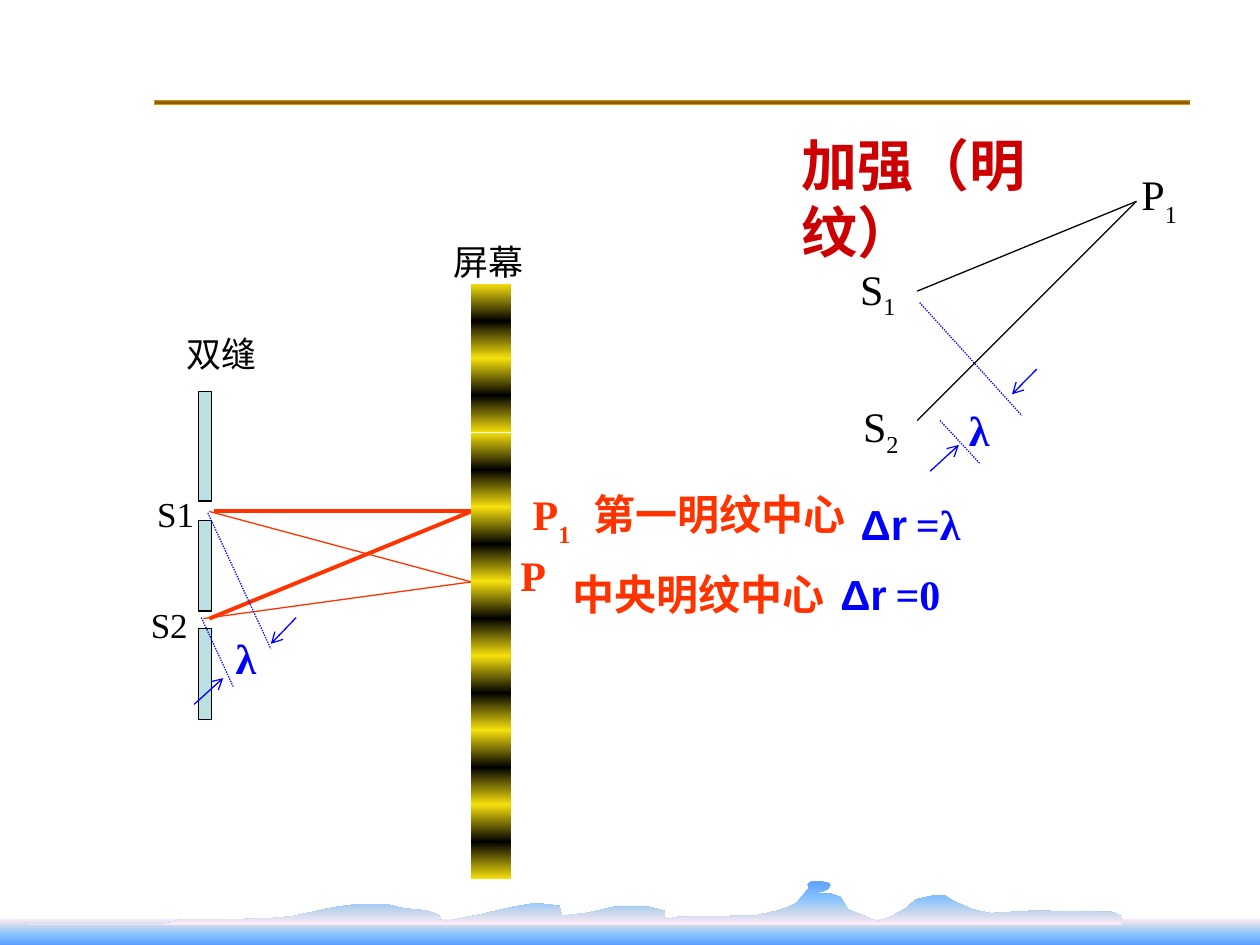
from lxml.etree import SubElement
from pptx import Presentation
from pptx.dml.color import RGBColor
from pptx.enum.dml import MSO_LINE as Dash
from pptx.enum.shapes import MSO_CONNECTOR as Link, MSO_SHAPE as Shape
from pptx.enum.text import MSO_AUTO_SIZE as Fit
from pptx.oxml.ns import qn
from pptx.util import Cm, Pt

SERIF = {"name": "Times New Roman", "size": Pt(24), "bold": False}
SMALL = {**SERIF, "size": Pt(20)}
BOLD = {**SERIF, "bold": True}
SANS = {**BOLD, "name": "Arial"}
SPACE = {"name": "Arial", "size": Pt(18), "bold": False}
HEADING = {**BOLD, "size": Pt(32)}
BLACK, RED, BLUE, ORANGE = "000000", "CC0000", "0000FF", "FF3300"
SKY = ["FFEBFA", "C4D6EB", "85C2FF", "5E9EFF"]
HILLS = [
    (23, 35), (130, 35), (143, 31), (178, 31), (214, 30), (226, 29), (234, 28),
    (243, 26), (248, 25), (261, 22), (274, 20), (283, 19), (307, 19), (320, 22),
    (339, 24), (348, 27), (351, 33), (381, 27), (394, 24), (407, 21), (425, 18),
    (444, 20), (446, 28), (465, 26), (487, 21), (515, 21), (527, 24), (528, 31),
    (537, 29), (589, 28), (599, 28), (617, 24), (626, 21), (632, 18), (642, 6),
    (641, 3), (643, 1), (650, 0), (658, 2), (659, 4), (657, 7), (652, 9),
    (641, 10), (658, 10), (667, 13), (673, 23), (688, 29), (695, 33), (707, 29),
    (719, 22), (727, 15), (736, 13), (741, 12), (750, 12), (756, 16), (772, 23),
    (786, 26), (820, 24), (883, 25), (889, 28), (891, 35),
]


def hex_color(value):
    """Return the colour for a hex string."""
    return RGBColor.from_string(value)


def add_gradient(shape, stops, radial=False):
    """Give a borderless shape a downward or centred gradient of (percent, hex) stops."""
    shape.shadow.inherit = False
    shape.line.fill.background()
    properties = shape._element.spPr
    gradient = properties.makeelement(qn("a:gradFill"), {"rotWithShape": "1"})
    stop_list = SubElement(gradient, qn("a:gsLst"))
    for percent, color in stops:
        stop = SubElement(stop_list, qn("a:gs"), pos=str(percent * 1000))
        SubElement(stop, qn("a:srgbClr"), val=color)
    if radial:
        center = SubElement(gradient, qn("a:path"), path="shape")
        SubElement(center, qn("a:fillToRect"), dict.fromkeys("ltrb", "50000"))
    else:
        SubElement(gradient, qn("a:lin"), ang="5400000", scaled="1")
    properties.insert(2, gradient)


def add_rect(slide, left, top, width, height):
    """Add a plain rectangle measured in centimetres."""
    return slide.shapes.add_shape(Shape.RECTANGLE, Cm(left), Cm(top), Cm(width), Cm(height))


def add_label(slide, left, top, width, height, runs, color, wrap=False):
    """Add a text box of (text, style, baseline) runs."""
    frame = slide.shapes.add_textbox(Cm(left), Cm(top), Cm(width), Cm(height)).text_frame
    frame.word_wrap = wrap
    frame.auto_size = Fit.SHAPE_TO_FIT_TEXT
    for text, style, baseline in runs:
        run = frame.paragraphs[0].add_run()
        run.text = text
        for attribute, value in style.items():
            setattr(run.font, attribute, value)
        run.font.color.rgb = hex_color(color)
        if baseline:
            run._r.get_or_add_rPr().set("baseline", str(baseline * 1000))


def add_line(slide, origin, start, end, color, width=0.75, dash=None, arrow=False):
    """Draw a straight line between two points relative to an origin."""
    x, y = origin
    line = slide.shapes.add_connector(
        Link.STRAIGHT, Cm(x + start[0]), Cm(y + start[1]), Cm(x + end[0]), Cm(y + end[1]))
    line.line.color.rgb = hex_color(color)
    line.line.width = Pt(width)
    if dash:
        line.line.dash_style = dash
    properties = line._element.spPr
    if arrow:
        SubElement(properties.find(qn("a:ln")), qn("a:tailEnd"), type="arrow")
    SubElement(properties, qn("a:effectLst"))


def draw_rule(slide, left, top, width, height):
    """Draw the golden rule across the head of the slide."""
    percents = [0, 13, 28, 43, 58, 72, 87, 100]
    stops = zip(percents, ["825600", "FFA800"] * 4)
    add_gradient(add_rect(slide, left, top, width, height), stops, radial=True)


def draw_landscape(slide, left, top, width, height):
    """Draw the water band and the hills along the foot of the slide."""
    water_top = 0.77
    water = add_rect(slide, left, top + water_top, width, height - water_top)
    add_gradient(water, zip([0, 30, 60, 100], SKY))
    builder = slide.shapes.build_freeform(*HILLS[0], scale=Cm(0.0254))
    builder.add_line_segments(HILLS[1:], close=True)
    hills = builder.convert_to_shape(Cm(left), Cm(top))
    add_gradient(hills, zip([0, 40, 70, 100], reversed(SKY)))


def draw_rays(slide, left, top, width, height):
    """Draw the rays from both slits to the first and central bright fringes."""
    first, central = (width, 0), (width, 1.42)
    for start, end, weight in [
        ((0.22, 0), first, 2.25), ((0.12, height), first, 2.25),
        ((0.12, 0), central, 0.75), ((0, height), central, 0.75),
    ]:
        add_line(slide, (left, top), start, end, ORANGE, weight)


def draw_slits(slide, left, top, width):
    """Draw the double-slit barrier with its labels."""
    for offset, height in [(0, 2.2), (2.59, 1.83), (4.77, 1.83)]:
        bar = add_rect(slide, left, top + offset, width, height)
        bar.shadow.inherit = False
        bar.fill.solid()
        bar.fill.fore_color.rgb = hex_color("BBE0E3")
        bar.line.color.rgb = hex_color(BLACK)
        bar.line.width = Pt(0.75)
    for text, dx, dy, label_width in [
        ("双缝", -0.49, -1.32, 1.93), ("S1", -1.08, 1.9, 1.25), ("S2", -1.21, 4.14, 1.25),
    ]:
        add_label(slide, left + dx, top + dy, label_width, 1.1, [(text, SMALL, 0)], BLACK)


def draw_screen(slide, left, top, width, height, fringes=8):
    """Draw the screen as a stack of equal fringes under its label."""
    add_label(slide, left - 0.61, top - 1, 1.93, 1.1, [("屏幕", SMALL, 0)], BLACK)
    step = height / fringes
    for index in range(fringes):
        fringe = add_rect(slide, left, top + index * step, width, step)
        add_gradient(fringe, [(0, "F6E00C"), (50, BLACK), (100, "F6E00C")])


def draw_path_difference(slide, left, top, dotted, arrows):
    """Mark a path difference of one wavelength around its symbol."""
    add_label(slide, left, top, 1.47, 1.27, [("λ", BOLD, 0)], BLUE, wrap=True)
    for start, end in dotted:
        add_line(slide, (left, top), start, end, BLUE, dash=Dash.ROUND_DOT)
    for start, end in arrows:
        add_line(slide, (left, top), start, end, BLUE, arrow=True)


def draw_geometry(slide, left, top, width, height):
    """Draw the enlarged triangle of both sources and the first bright point."""
    heading = [("加强（明纹）", HEADING, 0)]
    add_label(slide, left - 2.59, top - 1.55, 6.81, 1.6, heading, RED, wrap=True)
    for source_y in (1.81, height):
        add_line(slide, (left, top), (0, source_y), (width, 0), BLACK)
    for letter, index, baseline, dx, dy in [
        ("S", "1", -25, -1.4, 1.12), ("S", "2", -25, -1.34, 3.89), ("P", "1", -30, 4.27, -0.78),
    ]:
        runs = [(letter, SERIF, 0), (index, SERIF, baseline)]
        add_label(slide, left + dx, top + dy, 1.27, 1.3, runs, BLACK)


def draw_fringe_note(slide, left, top, point, point_offset, caption, value, value_drop):
    """Write a fringe's point, caption and path difference in a row."""
    dx, dy, point_width = point_offset
    add_label(slide, left + dx, top + dy, point_width, 1.27, point, ORANGE)
    add_label(slide, left, top, 5.61, 1.27, [(caption, BOLD, 0)], ORANGE)
    difference = [("Δr", SANS, 0), (" ", SPACE, 0), (value, BOLD, 0)]
    add_label(slide, left + 5.39, top + value_drop, 3.89, 1.27, difference, BLUE, wrap=True)


def main():
    """Build the double-slit interference slide."""
    deck = Presentation()
    deck.slide_width, deck.slide_height = Cm(25.4), Cm(19.05)
    slide = deck.slides.add_slide(deck.slide_layouts[6])
    draw_rule(slide, 3.1, 2.01, 20.9, 0.1)
    draw_landscape(slide, 0, 17.75, 25.4, 1.3)
    draw_slits(slide, 4, 7.9, 0.26)
    draw_rays(slide, 4.1, 10.31, 5.4, 2.16)
    draw_path_difference(
        slide, 4.5, 12.62,
        [((-0.31, -2.28), (0.96, 0.46)), ((-0.44, -0.17), (0.2, 1.22))],
        [((1.47, -0.17), (0.96, 0.36)), ((-0.59, 1.58), (0, 1.05))])
    draw_path_difference(
        slide, 19.28, 8.03,
        [((-0.74, -1.93), (1.32, 0.35)), ((-0.33, 0.45), (0.48, 1.32))],
        [((1.62, -0.59), (1.12, -0.08)), ((-0.53, 1.47), (0.05, 0.94))])
    draw_geometry(slide, 18.49, 4.06, 4.42, 4.42)
    draw_fringe_note(slide, 11.71, 9.73, [("P", BOLD, 0), ("1", BOLD, -30)],
                     (-1.22, 0, 1.52), "第一明纹中心", "=λ", 0.2)
    draw_fringe_note(slide, 11.3, 11.33, [("P", BOLD, 0)],
                     (-1.06, -0.38, 1.02), "中央明纹中心", "=0", 0)
    draw_screen(slide, 9.5, 5.72, 0.8, 12)
    deck.save("out.pptx")


if __name__ == "__main__":
    main()
